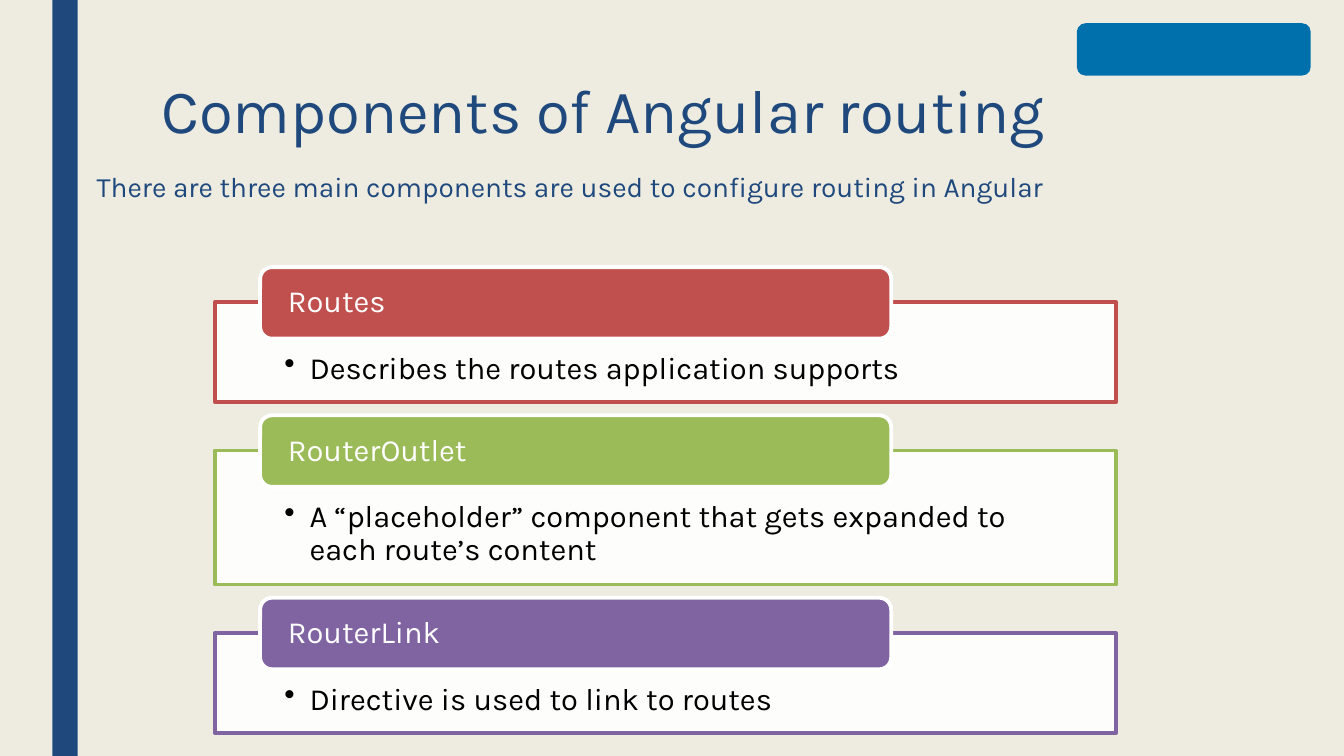
"""Build the slide on the three components of Angular routing."""
from dataclasses import dataclass

import lxml.etree
import pptx
import pptx.dml.color
import pptx.enum.shapes
import pptx.enum.text
import pptx.oxml.ns
import pptx.util

Inches = pptx.util.Inches
Pt = pptx.util.Pt
SHAPES = pptx.enum.shapes.MSO_SHAPE
ANCHORS = pptx.enum.text.MSO_ANCHOR
FONT = "Karla"
NAVY = "1F497D"
WHITE = "FFFFFF"
PANEL_GAP = 0.48
HEADER_RISE = 0.35


@dataclass
class Box:
    left: float
    top: float
    width: float
    height: float

    def lengths(self) -> list:
        return [Inches(value) for value in (self.left, self.top, self.width, self.height)]


@dataclass
class Component:
    name: str
    description: str
    color: str
    panel_height: float


COMPONENTS = [
    Component("Routes", "Describes the routes application supports", "C0504D", 0.99),
    Component("RouterOutlet", "A “placeholder” component that gets expanded to each route’s content",
              "9BBB59", 1.33),
    Component("RouterLink", "Directive is used to link to routes", "8064A2", 0.99),
]


def set_color(target, color: str) -> None:
    """Colour a fill or a font from a hex string."""
    if hasattr(target, "solid"):
        target.solid()
        target.fore_color.rgb = pptx.dml.color.RGBColor.from_string(color)
    else:
        target.color.rgb = pptx.dml.color.RGBColor.from_string(color)


def add_box(slide, kind, box: Box, fill: str, line: str = ""):
    """Add a filled preset shape, outlined if a line colour is given."""
    shape = slide.shapes.add_shape(kind, *box.lengths())
    shape.shadow.inherit = False
    set_color(shape.fill, fill)
    if line:
        set_color(shape.line.fill, line)
        shape.line.width = Pt(2.75)
    else:
        shape.line.fill.background()
    return shape


def write_text(shape, text: str, size: float, color: str, anchor, line_spacing: float = 1.0,
               insets: tuple = (0.1, 0.05, 0.1, 0.05)):
    """Write one left-aligned paragraph and return it."""
    frame = shape.text_frame
    frame.word_wrap = True
    frame.auto_size = pptx.enum.text.MSO_AUTO_SIZE.NONE
    frame.vertical_anchor = anchor
    frame.margin_left, frame.margin_top, frame.margin_right, frame.margin_bottom = map(Inches, insets)
    paragraph = frame.paragraphs[0]
    paragraph.alignment = pptx.enum.text.PP_ALIGN.LEFT
    paragraph.line_spacing = line_spacing
    run = paragraph.add_run()
    run.text = text
    run.font.name = FONT
    run.font.size = Pt(size)
    set_color(run.font, color)
    return paragraph


def add_bullet(paragraph, indent: float) -> None:
    """Give a paragraph a hanging round bullet."""
    properties = paragraph._p.get_or_add_pPr()
    properties.set("marL", str(Inches(indent)))
    properties.set("indent", str(-Inches(indent)))
    bullet = lxml.etree.SubElement(properties, pptx.oxml.ns.qn("a:buChar"))
    bullet.set("char", "•")


def set_opacity(shape, percent: int) -> None:
    """Make the solid fill of a shape partly transparent."""
    color = shape._element.spPr.find(pptx.oxml.ns.qn("a:solidFill"))[0]
    alpha = lxml.etree.SubElement(color, pptx.oxml.ns.qn("a:alpha"))
    alpha.set("val", str(percent * 1000))


def add_component(slide, component: Component, top: float) -> None:
    """Draw a component's panel with its header over the top edge."""
    panel = add_box(slide, SHAPES.RECTANGLE, Box(2.13, top, 8.94, component.panel_height),
                    WHITE, component.color)
    set_opacity(panel, 90)
    paragraph = write_text(panel, component.description, 22, "000000", ANCHORS.TOP, 0.9,
                           (0.69, 0.5, 0.69, 0.17))
    add_bullet(paragraph, 0.25)
    header = add_box(slide, SHAPES.ROUNDED_RECTANGLE, Box(2.58, top - HEADER_RISE, 6.26, 0.71),
                     component.color, WHITE)
    write_text(header, component.name, 22, WHITE, ANCHORS.MIDDLE, 0.9, (0.24, 0, 0.24, 0))


def main() -> None:
    """Create the presentation and save it."""
    presentation = pptx.Presentation()
    presentation.slide_width = Inches(13.33)
    presentation.slide_height = Inches(7.5)
    slide = presentation.slides.add_slide(presentation.slide_layouts[5])
    set_color(slide.background.fill, "EEECE1")

    add_box(slide, SHAPES.RECTANGLE, Box(0.52, 0, 0.25, 7.5), NAVY)
    add_box(slide, SHAPES.ROUNDED_RECTANGLE, Box(10.68, 0.23, 2.32, 0.52), "0070AD")

    title = slide.shapes.title
    title.left, title.top, title.width, title.height = Box(1.5, 0.75, 10.5, 1.62).lengths()
    write_text(title, "Components of Angular routing", 44, NAVY, ANCHORS.TOP, 0.89)

    subtitle = slide.shapes.add_textbox(*Box(0.86, 1.63, 12.03, 0.5).lengths())
    write_text(subtitle, "There are three main components are used to configure routing in Angular",
               20, NAVY, ANCHORS.TOP)

    top = 3.0
    for component in COMPONENTS:
        add_component(slide, component, top)
        top += component.panel_height + PANEL_GAP

    presentation.save("out.pptx")


if __name__ == "__main__":
    main()
